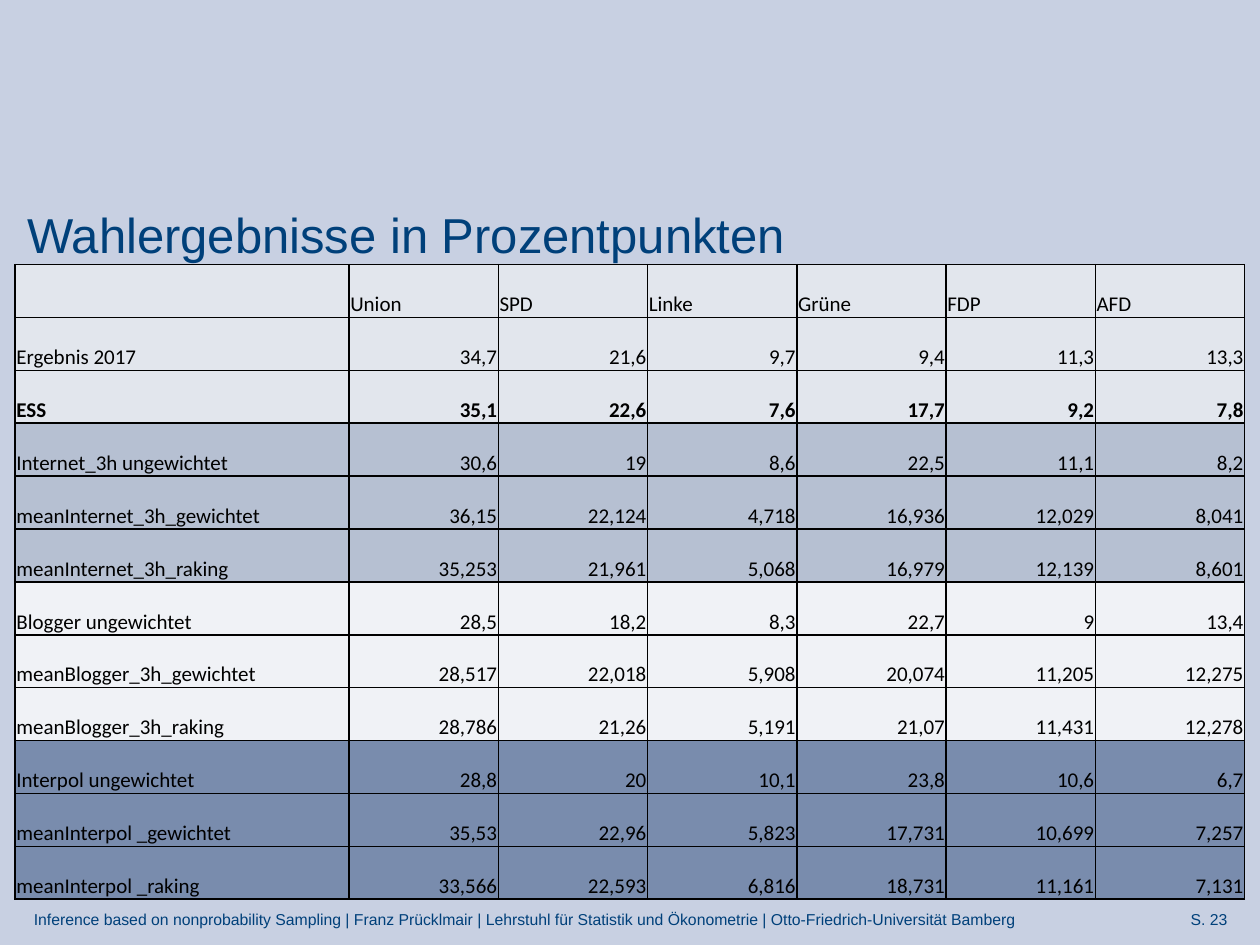
from lxml.etree import SubElement
from pptx import Presentation
from pptx.dml.color import RGBColor
from pptx.enum.text import MSO_ANCHOR as Anchor, PP_ALIGN as Align
from pptx.oxml.ns import qn
from pptx.util import Inches, Pt

COLORS = {
    "background": "C8D0E2",
    "text": "00407A",
    "table_text": "000000",
    "border": "000000",
    "reference": "E2E6ED",
    "internet": "B6C0D2",
    "blogger": "F0F2F6",
    "interpol": "798CAD",
}

TITLE = "Wahlergebnisse in Prozentpunkten"
FOOTER = ("Inference based on nonprobability Sampling | Franz Prücklmair | "
          "Lehrstuhl für Statistik und Ökonometrie | Otto-Friedrich-Universität Bamberg")
PAGE = "S. 23"

# Row groups share one fill colour
GROUPS = {
    "reference": [
        ("", "Union", "SPD", "Linke", "Grüne", "FDP", "AFD"),
        ("Ergebnis 2017", "34,7", "21,6", "9,7", "9,4", "11,3", "13,3"),
        ("ESS", "35,1", "22,6", "7,6", "17,7", "9,2", "7,8"),
    ],
    "internet": [
        ("Internet_3h ungewichtet", "30,6", "19", "8,6", "22,5", "11,1", "8,2"),
        ("meanInternet_3h_gewichtet", "36,15", "22,124", "4,718", "16,936", "12,029", "8,041"),
        ("meanInternet_3h_raking", "35,253", "21,961", "5,068", "16,979", "12,139", "8,601"),
    ],
    "blogger": [
        ("Blogger ungewichtet", "28,5", "18,2", "8,3", "22,7", "9", "13,4"),
        ("meanBlogger_3h_gewichtet", "28,517", "22,018", "5,908", "20,074", "11,205", "12,275"),
        ("meanBlogger_3h_raking", "28,786", "21,26", "5,191", "21,07", "11,431", "12,278"),
    ],
    "interpol": [
        ("Interpol ungewichtet", "28,8", "20", "10,1", "23,8", "10,6", "6,7"),
        ("meanInterpol _gewichtet", "35,53", "22,96", "5,823", "17,731", "10,699", "7,257"),
        ("meanInterpol _raking", "33,566", "22,593", "6,816", "18,731", "11,161", "7,131"),
    ],
}
BOLD_ROW = "ESS"

TABLE_LEFT, TABLE_TOP, TABLE_WIDTH, TABLE_HEIGHT = 0.12, 2.1, 9.76, 5.04
LABEL_WIDTH = 2.65


def color(name):
    return RGBColor.from_string(COLORS[name])


def style_font(font, name, size, color_name, bold=False):
    font.name = name
    font.size = Pt(size)
    font.bold = bold
    font.color.rgb = color(color_name)


def add_text(slide, text, left, top, width, height, size, align=Align.LEFT):
    box = slide.shapes.add_textbox(Inches(left), Inches(top), Inches(width), Inches(height))
    frame = box.text_frame
    frame.text = text
    frame.word_wrap = True
    frame.vertical_anchor = Anchor.MIDDLE
    paragraph = frame.paragraphs[0]
    paragraph.alignment = align
    style_font(paragraph.runs[0].font, "Arial", size, "text")


def add_borders(cell):
    """Draw a 1 pt line on all four sides; call before the fill is set."""
    properties = cell._tc.get_or_add_tcPr()
    for side in ("lnL", "lnR", "lnT", "lnB"):
        line = SubElement(properties, qn(f"a:{side}"), w=str(Pt(1)))
        fill = SubElement(line, qn("a:solidFill"))
        SubElement(fill, qn("a:srgbClr"), val=COLORS["border"])


def fill_cell(cell, text, fill_name, align, bold):
    add_borders(cell)
    cell.fill.solid()
    cell.fill.fore_color.rgb = color(fill_name)
    cell.vertical_anchor = Anchor.BOTTOM
    cell.margin_left = cell.margin_right = cell.margin_top = Inches(0.01)
    cell.margin_bottom = 0
    cell.text_frame.text = text
    paragraph = cell.text_frame.paragraphs[0]
    paragraph.alignment = align
    for run in paragraph.runs:
        style_font(run.font, "Calibri", 12, "table_text", bold)


def add_results_table(slide):
    rows = [(group, values) for group, members in GROUPS.items() for values in members]
    column_count = len(rows[0][1])
    table = slide.shapes.add_table(
        len(rows), column_count, Inches(TABLE_LEFT), Inches(TABLE_TOP),
        Inches(TABLE_WIDTH), Inches(TABLE_HEIGHT)).table
    table.first_row = table.horz_banding = False

    party_width = (TABLE_WIDTH - LABEL_WIDTH) / (column_count - 1)
    for index, column in enumerate(table.columns):
        column.width = Inches(party_width if index else LABEL_WIDTH)
    for row in table.rows:
        row.height = Inches(TABLE_HEIGHT / len(rows))

    for row_index, (group, values) in enumerate(rows):
        for column_index, text in enumerate(values):
            is_number = row_index > 0 and column_index > 0
            fill_cell(table.cell(row_index, column_index), text, group,
                      Align.RIGHT if is_number else Align.LEFT,
                      values[0] == BOLD_ROW)


def main():
    presentation = Presentation()
    presentation.slide_width = Inches(10)
    presentation.slide_height = Inches(7.5)
    slide = presentation.slides.add_slide(presentation.slide_layouts[6])
    slide.background.fill.solid()
    slide.background.fill.fore_color.rgb = color("background")

    add_text(slide, PAGE, 8.67, 7.17, 1.17, 0.25, 9, Align.RIGHT)
    add_text(slide, FOOTER, 0.17, 7.17, 8.25, 0.25, 9)
    add_text(slide, TITLE, 0.12, 1.23, 8.17, 1.25, 28)
    add_results_table(slide)
    presentation.save("out.pptx")


if __name__ == "__main__":
    main()
